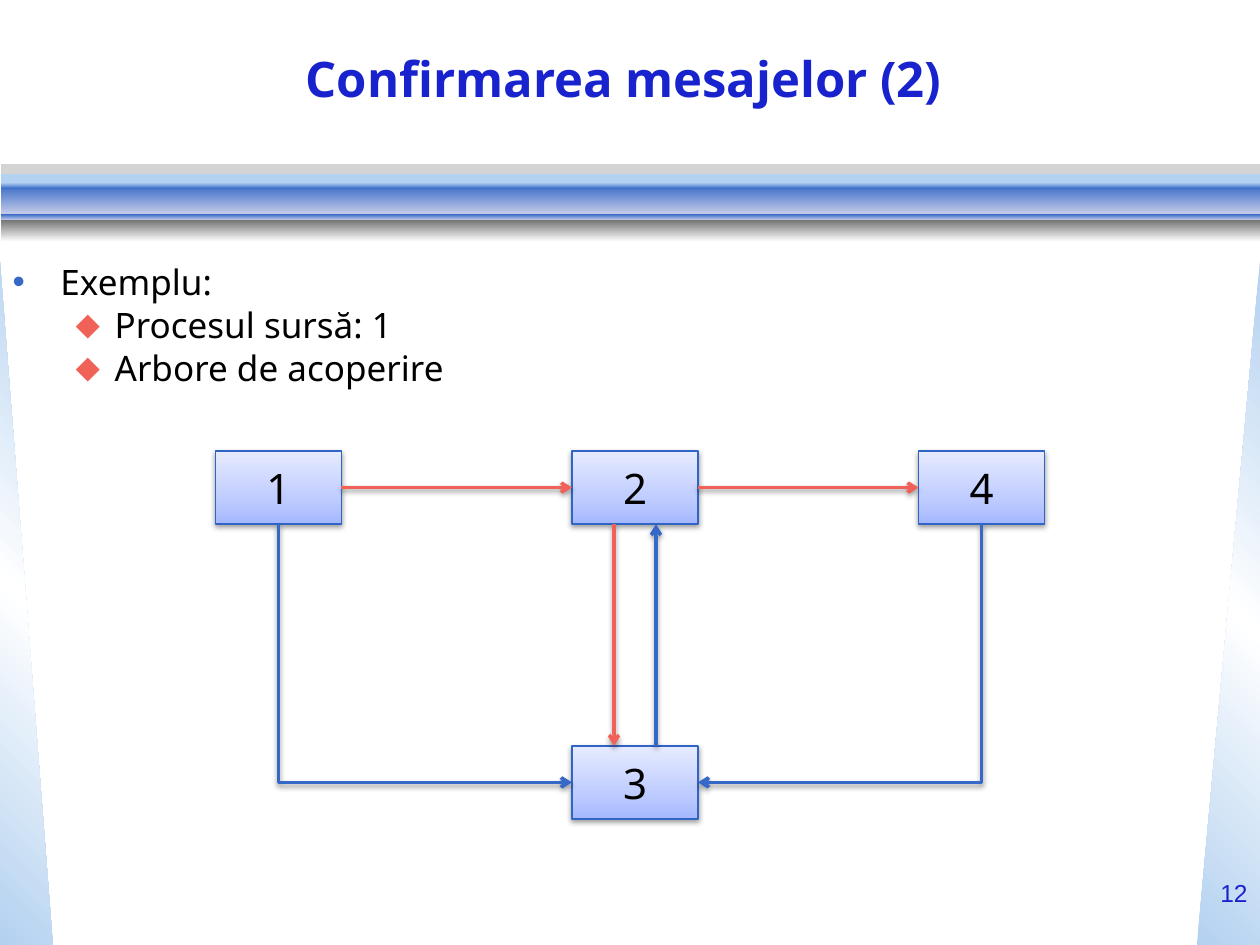
from lxml import etree
from pptx import Presentation
from pptx.dml.color import RGBColor
from pptx.enum.shapes import MSO_CONNECTOR, MSO_SHAPE
from pptx.enum.text import MSO_ANCHOR, MSO_AUTO_SIZE, PP_ALIGN
from pptx.oxml import parse_xml
from pptx.oxml.ns import qn
from pptx.util import Inches, Pt

RECT, WEDGE = MSO_SHAPE.RECTANGLE, MSO_SHAPE.RIGHT_TRIANGLE
STRAIGHT, ELBOW = MSO_CONNECTOR.STRAIGHT, MSO_CONNECTOR.ELBOW
CENTER, RIGHT = PP_ALIGN.CENTER, PP_ALIGN.RIGHT
TOP, LEFT_SIDE, BOTTOM, RIGHT_SIDE = range(4)
NS = "http://schemas.openxmlformats.org/drawingml/2006/main"


class Theme:
    font, num_font = "Noto Sans", "Arial"
    title, body, node, num = 28, 20, 24, 14
    ink, navy, blue, red = "000000", "1822CD", "3568C7", "F06157"
    sky, mist, gray, edge = "B3D1F0", "CAD0E9", "777777", "3065C6"
    wedge = [(0, sky), (50, "FFFFFF"), (100, sky)]
    box = [(0, "A5B8FF"), (35, "BFCCFF"), (100, "E7EBFF")]


W, H = 10, 7.5
TITLE = "Confirmarea mesajelor (2) "
ITEMS = [(0, "Exemplu:"), (1, "Procesul sursă: 1"), (1, "Arbore de acoperire")]
LEVELS = [("•", Theme.blue, 0.38, 0.38), ("⬥", Theme.red, 0.81, 0.31)]
NUMBER = "12"

# Banner strips: top, height, colour at top, colour at bottom
STRIPS = [
    (1.36, 0.1, Theme.sky, Theme.sky),
    (1.46, 0.25, Theme.blue, Theme.mist),
    (1.33, 0.03, Theme.navy, "BABBE7"),
    (1.7, 0.05, Theme.blue, Theme.mist),
    (1.45, 0.05, Theme.sky, Theme.blue),
    (1.75, 0.17, Theme.gray, "FFFFFF"),
    (1.3, 0.08, "D4D4D4", "D4D4D4"),
]

COLS, ROWS = (1.71, 4.54, 7.29), (3.58, 5.92)
BOX_W, BOX_H = 1, 0.58
NODES = {"1": (0, 0), "2": (1, 0), "4": (2, 0), "3": (1, 1)}
TREE = [("1", "2"), ("2", "4")]
LINKS = [("1", LEFT_SIDE), ("4", RIGHT_SIDE)]  # source, side of node 3
# Between nodes 2 and 3: share of box width, downward, colour
PAIR = [(1 / 3, True, Theme.red), (2 / 3, False, Theme.blue)]


def rgb(code):
    return RGBColor.from_string(code)


def write(par, text, size, color, font=Theme.font, bold=False):
    run = par.add_run()
    run.text = text
    run.font.size, run.font.name, run.font.bold = Pt(size), font, bold
    run.font.color.rgb = rgb(color)


def place(shape, *box):
    shape.left, shape.top, shape.width, shape.height = map(Inches, box)


def blend(shape, stops, angle):
    """Gradient fill; the angle runs clockwise from left to right."""
    shape.fill.background()
    marks = "".join(f'<a:gs pos="{pos * 1000}"><a:srgbClr val="{code}"/></a:gs>'
                    for pos, code in stops)
    grad = parse_xml(f'<a:gradFill xmlns:a="{NS}" rotWithShape="1"><a:gsLst>{marks}'
                     f'</a:gsLst><a:lin ang="{angle * 60000}" scaled="0"/></a:gradFill>')
    props = shape._element.spPr
    props.replace(props.find(qn("a:noFill")), grad)


def shade(shape):
    shape._element.spPr.append(parse_xml(
        f'<a:effectLst xmlns:a="{NS}"><a:outerShdw blurRad="{Pt(3.1)}" '
        f'dist="{Pt(1.6)}" dir="5400000" rotWithShape="0"><a:srgbClr val="000000">'
        '<a:alpha val="38000"/></a:srgbClr></a:outerShdw></a:effectLst>'))


def panel(slide, kind, box, stops, angle):
    shape = slide.shapes.add_shape(kind, *map(Inches, box))
    blend(shape, stops, angle)
    shape.line.fill.background()
    shape.shadow.inherit = False
    return shape


def arrow(slide, kind, start, end, color, tip="tailEnd"):
    line = slide.shapes.add_connector(kind, *map(Inches, (*start, *end)))
    line.line.color.rgb, line.line.width = rgb(color), Pt(2)
    etree.SubElement(line.line._get_or_add_ln(), qn(f"a:{tip}"), type="arrow")
    shade(line)
    return line


def side(name, spot):
    col, row = NODES[name]
    dx, dy = {TOP: (0.5, 0), LEFT_SIDE: (0, 0.5),
              BOTTOM: (0.5, 1), RIGHT_SIDE: (1, 0.5)}[spot]
    return COLS[col] + dx * BOX_W, ROWS[row] + dy * BOX_H


def backdrop(slide):
    top = 2.08
    panel(slide, WEDGE, (0, top, 0.42, H - top), Theme.wedge, 315)
    wedge = panel(slide, WEDGE, (W - 0.5, top, 0.5, H - top), Theme.wedge, 45)
    wedge._element.spPr.find(qn("a:xfrm")).set("flipH", "1")
    for y, high, first, last in STRIPS:
        panel(slide, RECT, (0.01, y, W - 0.01, high), [(0, first), (100, last)], 90)


def heading(slide):
    title = slide.shapes.title
    place(title, 0.25, 0.33, 9.5, 0.58)
    frame = title.text_frame
    frame.auto_size, frame.vertical_anchor = MSO_AUTO_SIZE.NONE, MSO_ANCHOR.MIDDLE
    frame.paragraphs[0].alignment = CENTER
    write(frame.paragraphs[0], TITLE, Theme.title, Theme.navy, bold=True)


def outline(slide):
    body = slide.placeholders[1]
    place(body, 0, 2.02, 9, 4.95)
    frame = body.text_frame
    frame.auto_size = MSO_AUTO_SIZE.NONE
    for i, (level, text) in enumerate(ITEMS):
        par = frame.add_paragraph() if i else frame.paragraphs[0]
        par.level, par.space_before = level, Pt(0.5 if i else 0)
        sign, color, left, hang = LEVELS[level]
        props = par._p.get_or_add_pPr()
        props.set("marL", str(Inches(left)))
        props.set("indent", str(-Inches(hang)))
        tint = etree.SubElement(props, qn("a:buClr"))
        etree.SubElement(tint, qn("a:srgbClr"), val=color)
        etree.SubElement(props, qn("a:buFont"), typeface=Theme.num_font)
        etree.SubElement(props, qn("a:buChar"), char=sign)
        write(par, text, Theme.body, Theme.ink)


def graph(slide):
    boxes = {}
    for name, (col, row) in NODES.items():
        box = slide.shapes.add_shape(
            RECT, *map(Inches, (COLS[col], ROWS[row], BOX_W, BOX_H)))
        blend(box, Theme.box, 270)
        box.line.color.rgb, box.line.width = rgb(Theme.edge), Pt(0.75)
        shade(box)
        box.text_frame.vertical_anchor = MSO_ANCHOR.MIDDLE
        par = box.text_frame.paragraphs[0]
        par.alignment = CENTER
        write(par, name, Theme.node, Theme.ink)
        boxes[name] = box

    for name, spot in LINKS:
        # The bend runs sideways first, so it starts at node 3 with its tip there
        line = arrow(slide, ELBOW, side("3", spot), side(name, BOTTOM),
                     Theme.blue, "headEnd")
        line._element.spPr.find(qn("a:prstGeom")).set("prst", "bentConnector2")
    for share, down, color in PAIR:
        x = COLS[1] + share * BOX_W
        ends = [(x, ROWS[0] + BOX_H), (x, ROWS[1])]
        arrow(slide, STRAIGHT, *(ends if down else ends[::-1]), color)
    for src, dst in TREE:
        line = arrow(slide, STRAIGHT, side(src, RIGHT_SIDE),
                     side(dst, LEFT_SIDE), Theme.red)
        line.begin_connect(boxes[src], RIGHT_SIDE)
        line.end_connect(boxes[dst], LEFT_SIDE)


def footer(slide):
    box = slide.shapes.add_textbox(*map(Inches, (W - 0.5, 6.92, 0.5, 0.58)))
    box.text_frame.word_wrap = True
    par = box.text_frame.paragraphs[0]
    par.alignment = RIGHT
    write(par, NUMBER, Theme.num, Theme.navy, Theme.num_font)


def main():
    deck = Presentation()
    deck.slide_width, deck.slide_height = Inches(W), Inches(H)
    slide = deck.slides.add_slide(deck.slide_layouts[1])
    for draw in (backdrop, heading, outline, graph, footer):
        draw(slide)
    deck.save("out.pptx")


if __name__ == "__main__":
    main()
